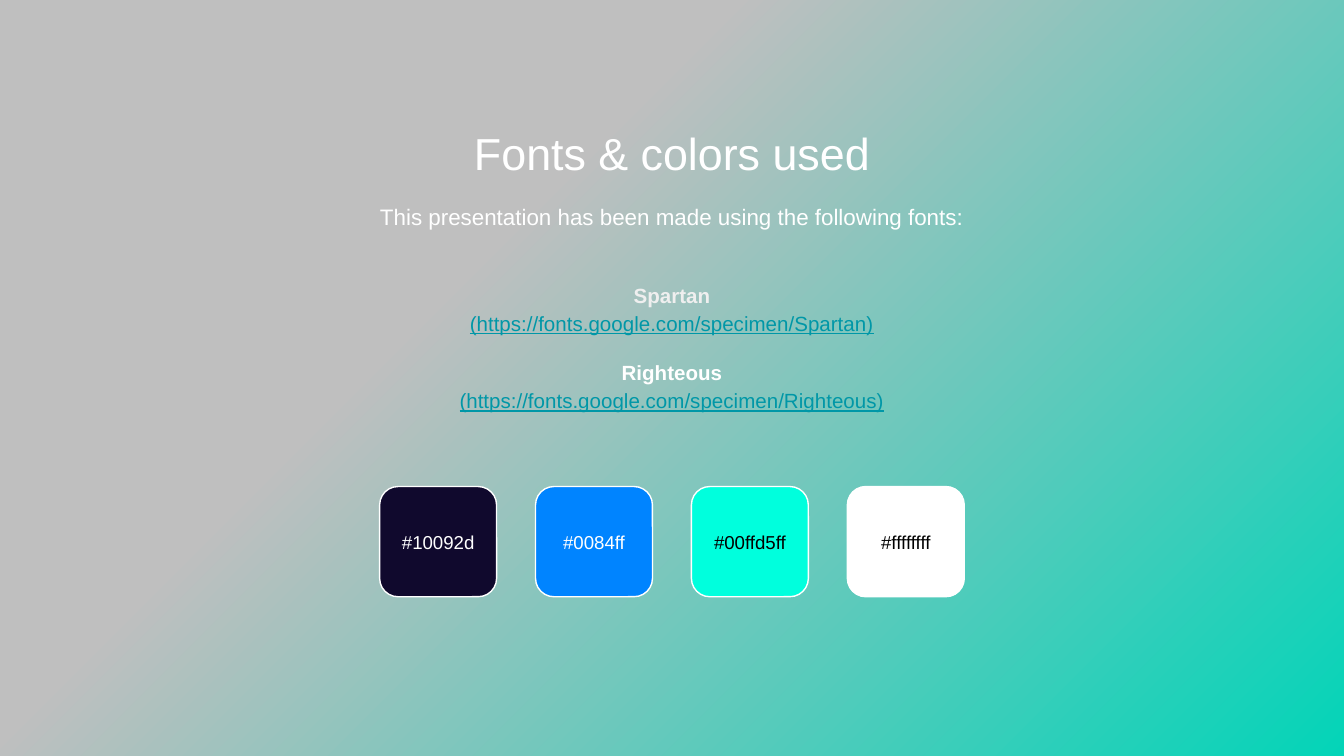
from pptx import Presentation
from pptx.dml.color import RGBColor
from pptx.enum.shapes import MSO_SHAPE
from pptx.enum.text import MSO_ANCHOR, MSO_AUTO_SIZE, PP_ALIGN
from pptx.util import Inches, Pt

CELL = 0.1
WHITE, BLACK, LINK = "FFFFFF", "000000", "0097A7"


def paint(target, color):
    """Give a colour format, such as a font or fill colour, a hex value."""
    target.rgb = RGBColor.from_string(color)


def write(frame, text, size=12, color=WHITE, bold=False, underline=False,
          spacing=1.0, before=0, first=True):
    """Write one centred paragraph into a text frame."""
    paragraph = frame.paragraphs[0] if first else frame.add_paragraph()
    paragraph.alignment = PP_ALIGN.CENTER
    paragraph.line_spacing = spacing
    paragraph.space_before = Pt(before)
    run = paragraph.add_run()
    run.text = text
    run.font.name = "Arial"
    run.font.size = Pt(size)
    run.font.bold = bold
    run.font.underline = underline
    paint(run.font.color, color)


class Page:
    """A slide on a grid of square cells, with its shared style."""

    def __init__(self, deck):
        """Add a title-only slide to the deck."""
        self.slide = deck.slides.add_slide(deck.slide_layouts[5])

    def place(self, *cells):
        """Turn grid cells into lengths."""
        return [Inches(cell * CELL) for cell in cells]

    def frame(self, shape, anchor):
        """Prepare the text frame of a shape."""
        frame = shape.text_frame
        frame.word_wrap = True
        frame.auto_size = MSO_AUTO_SIZE.NONE
        frame.vertical_anchor = anchor
        frame.margin_left = frame.margin_right = Inches(CELL)
        frame.margin_top = frame.margin_bottom = Inches(CELL)
        return frame

    def background(self, start, end, hold):
        """Fill the background with a diagonal gradient."""
        fill = self.slide.background.fill
        fill.gradient()
        fill.gradient_angle = 315
        for stop, color, position in zip(fill.gradient_stops, (start, end), (hold, 1)):
            paint(stop.color, color)
            stop.position = position

    def title(self, text, *cells):
        """Move and fill the title placeholder."""
        title = self.slide.shapes.title
        title.left, title.top, title.width, title.height = self.place(*cells)
        write(self.frame(title, MSO_ANCHOR.TOP), text, size=24)

    def text(self, *cells, anchor=MSO_ANCHOR.TOP):
        """Add a text box and return its frame."""
        return self.frame(self.slide.shapes.add_textbox(*self.place(*cells)), anchor)

    def swatch(self, label, fill, ink, left, top, width, height):
        """Add a rounded colour sample with its code centred on it."""
        sample = self.slide.shapes.add_shape(
            MSO_SHAPE.ROUNDED_RECTANGLE, *self.place(left, top, width, height))
        sample.shadow.inherit = False
        sample.fill.solid()
        paint(sample.fill.fore_color, fill)
        paint(sample.line.color, WHITE)
        sample.line.width = Pt(0.75)
        label_height = 4.8
        code = self.text(left, top + (height - label_height) / 2, width, label_height,
                         anchor=MSO_ANCHOR.MIDDLE)
        write(code, label, size=10, color=ink)


def main():
    """Build the fonts and colours slide."""
    deck = Presentation()
    deck.slide_width = Inches(10)
    deck.slide_height = deck.slide_width * 9 // 16
    page = Page(deck)
    page.background("BFBFBF", "03D4B8", 0.35)

    left, width = 11.45, 77.1
    page.title("Fonts & colors used", left, 8.35, width, 5.3)
    intro = page.text(left, 13.8, width, 4.8)
    write(intro, "This presentation has been made using the following fonts:", spacing=1.15)

    font_list = page.text(left, 18.9, width, 13.7, anchor=MSO_ANCHOR.MIDDLE)
    for index, (family, color) in enumerate([("Spartan", "EFEFEF"), ("Righteous", WHITE)]):
        write(font_list, family, size=11, color=color, bold=True, spacing=1.15,
              before=11 * index, first=index == 0)
        write(font_list, f"(https://fonts.google.com/specimen/{family})", size=11,
              color=LINK, underline=True, spacing=1.15, first=False)

    palette = [
        ("#10092d", "10092D", WHITE),
        ("#0084ff", "0084FF", WHITE),
        ("#00ffd5ff", "00FFDD", BLACK),
        ("#ffffffff", WHITE, BLACK),
    ]
    for index, (label, fill, ink) in enumerate(palette):
        page.swatch(label, fill, ink, 28.25 + 11.6 * index, 36.2, 8.7, 8.2)

    deck.save("out.pptx")


if __name__ == "__main__":
    main()
